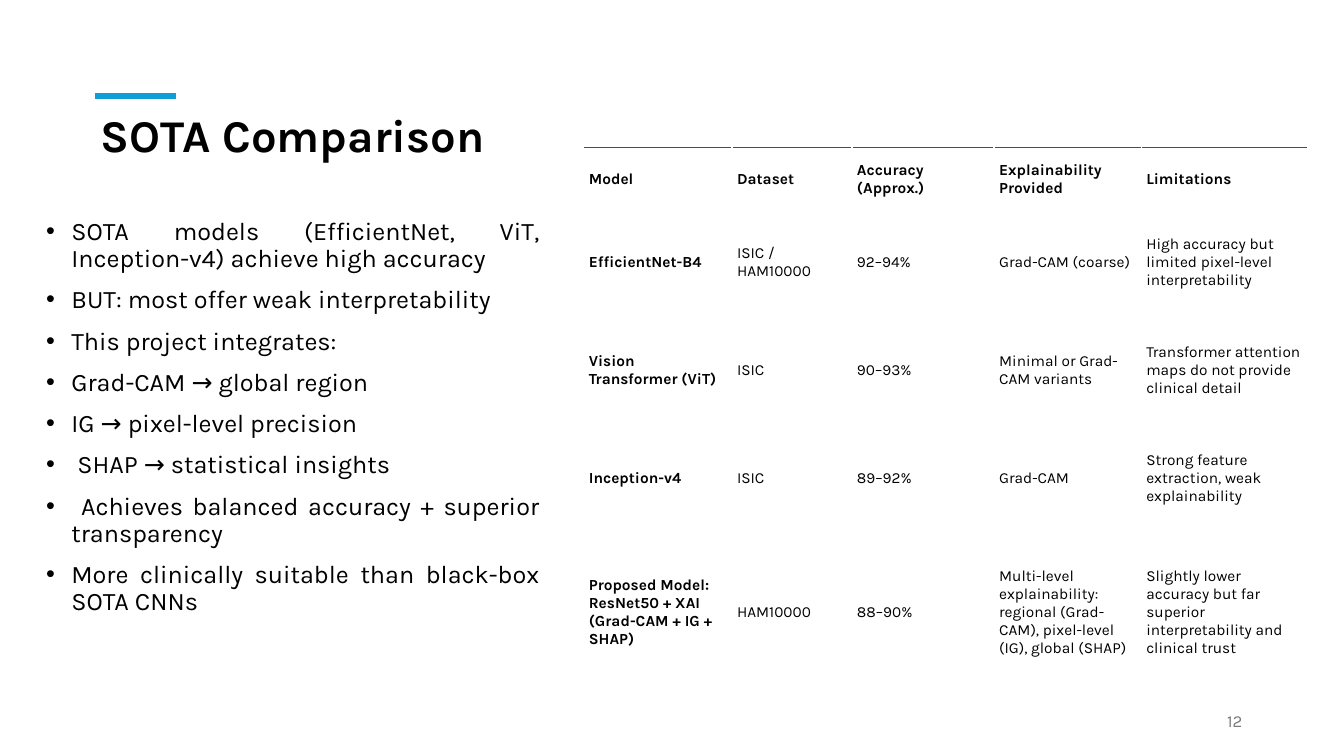
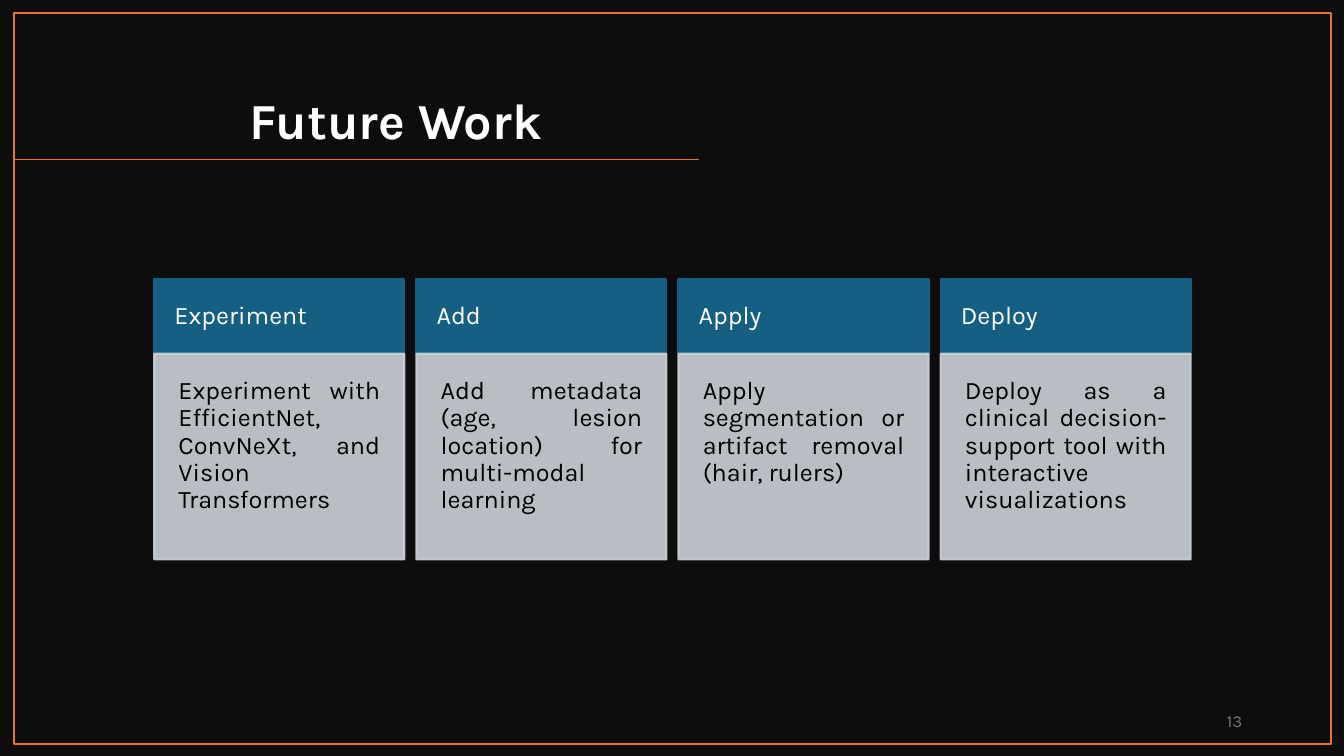
"""Build the comparison and future work slides."""
from dataclasses import dataclass

from lxml.etree import SubElement as Sub
from pptx import Presentation
from pptx.dml.color import RGBColor as RGB
from pptx.enum.shapes import MSO_CONNECTOR as Link, MSO_SHAPE as Form
from pptx.enum.text import MSO_ANCHOR as Anchor, MSO_AUTO_SIZE as Fit, PP_ALIGN as Align
from pptx.oxml import parse_xml
from pptx.oxml.ns import nsdecls, qn
from pptx.util import Inches, Pt

POINTS = [
    "SOTA models (EfficientNet, ViT, Inception-v4) achieve high accuracy",
    "BUT: most offer weak interpretability",
    "This project integrates:",
    "Grad-CAM → global region",
    "IG → pixel-level precision",
    " SHAP → statistical insights",
    " Achieves balanced accuracy + superior transparency",
    "More clinically suitable than black-box SOTA CNNs",
]
ROWS = [
    ("Model", "Dataset", "Accuracy (Approx.)", "Explainability Provided", "Limitations"),
    ("EfficientNet-B4", "ISIC / HAM10000", "92–94%", "Grad-CAM (coarse)",
     "High accuracy but limited pixel-level interpretability"),
    ("Vision Transformer (ViT)", "ISIC", "90–93%", "Minimal or Grad-CAM variants",
     "Transformer attention maps do not provide clinical detail"),
    ("Inception-v4", "ISIC", "89–92%", "Grad-CAM",
     "Strong feature extraction, weak explainability"),
    ("Proposed Model: ResNet50 + XAI (Grad-CAM + IG + SHAP)", "HAM10000", "88–90%",
     "Multi-level explainability: regional (Grad-CAM), pixel-level (IG), global (SHAP)",
     "Slightly lower accuracy but far superior interpretability and clinical trust"),
]
WIDTHS = (1.47, 1.19, 1.41, 1.46, 1.65)
HEIGHTS = (0.7, 0.95, 1.2, 0.95, 1.7)
CARDS = [
    ("Experiment", "Experiment with EfficientNet, ConvNeXt, and Vision Transformers"),
    ("Add", "Add metadata (age, lesion location) for multi-modal learning"),
    ("Apply", "Apply segmentation or artifact removal (hair, rulers)"),
    ("Deploy", "Deploy as a clinical decision-support tool with interactive visualizations"),
]


@dataclass(frozen=True)
class Theme:
    font: str = "Karla"
    black: str = "000000"
    white: str = "FFFFFF"
    night: str = "0D0D0D"
    sky: str = "0F9ED5"
    teal: str = "156082"
    mist: str = "CCD2D8"
    flame: str = "E97132"
    grey: str = "797979"
    large: float = 36
    head: float = 32.4
    body: float = 18
    note: float = 12
    cell: float = 11
    rule: float = 1
    edge: float = 1.5
    bar: float = 4.5


T = Theme()


def color(hue):
    return RGB.from_string(hue)


def place(box):
    return [Inches(n) for n in box]


def style(frame, size, hue, bold=False, align=None, space=None):
    for para in frame.paragraphs:
        para.alignment = align
        para.line_spacing = space
        for run in para.runs:
            font = run.font
            font.name, font.size, font.bold = T.font, Pt(size), bold
            font.color.rgb = color(hue)


def inset(frame, pad):
    frame.margin_left = frame.margin_top = Inches(pad)
    frame.margin_right = frame.margin_bottom = Inches(pad)


def add_text(slide, box, text):
    frame = slide.shapes.add_textbox(*place(box)).text_frame
    frame.word_wrap = True
    frame.text = text
    return frame


def add_line(slide, start, end, hue, width):
    line = slide.shapes.add_connector(Link.STRAIGHT, *place(start + end))
    line.line.color.rgb = color(hue)
    line.line.width = Pt(width)
    Sub(line.element.spPr, qn("a:effectLst"))


def add_box(slide, box, fill, edge, width):
    shape = slide.shapes.add_shape(Form.RECTANGLE, *place(box))
    shape.shadow.inherit = False
    if fill:
        shape.fill.solid()
        shape.fill.fore_color.rgb = color(fill)
    else:
        shape.fill.background()
    shape.line.color.rgb = color(edge)
    shape.line.width = Pt(width)
    return shape


def add_slide(deck, title, box, size, hue, anchor, page):
    slide = deck.slides.add_slide(deck.slide_layouts[5])
    head = slide.shapes.title
    head.left, head.top, head.width, head.height = place(box)
    frame = head.text_frame
    frame.text = title
    frame.word_wrap, frame.auto_size = True, Fit.NONE
    frame.vertical_anchor = anchor
    style(frame, size, hue, True, Align.CENTER, 0.9)
    foot = add_text(slide, (9.42, 6.95, 3, 0.4), page)
    foot.vertical_anchor = Anchor.MIDDLE
    style(foot, T.note, T.grey, align=Align.RIGHT)
    return slide


def add_list(slide, box, items):
    frame = add_text(slide, box, "\n".join(items))
    for i, para in enumerate(frame.paragraphs):
        props = para._p.get_or_add_pPr()
        props.set("marL", str(Inches(0.25)))
        props.set("indent", str(Inches(-0.25)))
        Sub(props, qn("a:buFont"), typeface="Arial")
        Sub(props, qn("a:buChar"), char="•")
        if i:
            para.space_before = Pt(10)
    style(frame, T.body, T.black, align=Align.JUSTIFY, space=0.9)


def add_grid(slide, left, top):
    box = place((left, top, sum(WIDTHS), sum(HEIGHTS)))
    grid = slide.shapes.add_table(len(ROWS), len(WIDTHS), *box).table
    grid.first_row = grid.horz_banding = False
    for col, width in zip(grid.columns, WIDTHS):
        col.width = Inches(width)
    for r, (row, high) in enumerate(zip(ROWS, HEIGHTS)):
        grid.rows[r].height = Inches(high)
        for c, text in enumerate(row):
            cell = grid.cell(r, c)
            cell.text = text
            cell.fill.background()
            cell.vertical_anchor = Anchor.MIDDLE
            cell.margin_left = cell.margin_right = Inches(0.05)
            cell.margin_top, cell.margin_bottom = Inches(0.02), Inches(0.09)
            style(cell.text_frame, T.cell, T.black, r == 0 or c == 0)
            if r == 0:
                cell._tc.get_or_add_tcPr().insert(0, parse_xml(
                    f'<a:lnT {nsdecls("a")} w="{Pt(T.rule)}"><a:solidFill>'
                    f'<a:srgbClr val="{T.teal}"/></a:solidFill></a:lnT>'))


def add_card(slide, left, title, text):
    width, top, high = 2.48, 2.77, 0.74
    head = add_box(slide, (left, top, width, high), T.teal, T.teal, T.edge)
    body = add_box(slide, (left, top + high, width, 2.04), T.mist, T.mist, T.edge)
    for tone in body.element.spPr.iter(qn("a:srgbClr")):
        Sub(tone, qn("a:alpha"), val="90000")
    parts = ((head, title, 0.2, T.white, Anchor.MIDDLE),
             (body, text, 0.24, T.black, Anchor.TOP))
    for shape, words, pad, hue, anchor in parts:
        frame = shape.text_frame
        frame.text = words
        frame.word_wrap = True
        frame.vertical_anchor = anchor
        inset(frame, pad)
        style(frame, T.body, hue, align=Align.JUSTIFY, space=0.9)


def main():
    deck = Presentation()
    deck.slide_width, deck.slide_height = Inches(13.33), Inches(7.5)

    slide = add_slide(deck, "SOTA Comparison", (0.36, 1.06, 5.09, 0.61),
                      T.head, T.black, Anchor.MIDDLE, "12")
    add_line(slide, (0.94, 0.95), (1.75, 0.95), T.sky, T.bar)
    add_list(slide, (0.36, 2.12, 5.09, 5.11), POINTS)
    add_grid(slide, 5.79, 1.46)

    slide = add_slide(deck, "Future Work", (0.92, 0.42, 6.01, 1.12),
                      T.large, T.white, Anchor.BOTTOM, "13")
    back = slide.background.fill
    back.solid()
    back.fore_color.rgb = color(T.night)
    add_line(slide, (6.93, 1.58), (0.14, 1.58), T.flame, T.rule)
    add_box(slide, (0.14, 0.13, 13.06, 7.25), None, T.flame, T.rule)
    for i, card in enumerate(CARDS):
        add_card(slide, 1.53 + i * 2.6, *card)

    deck.save("out.pptx")


if __name__ == "__main__":
    main()
